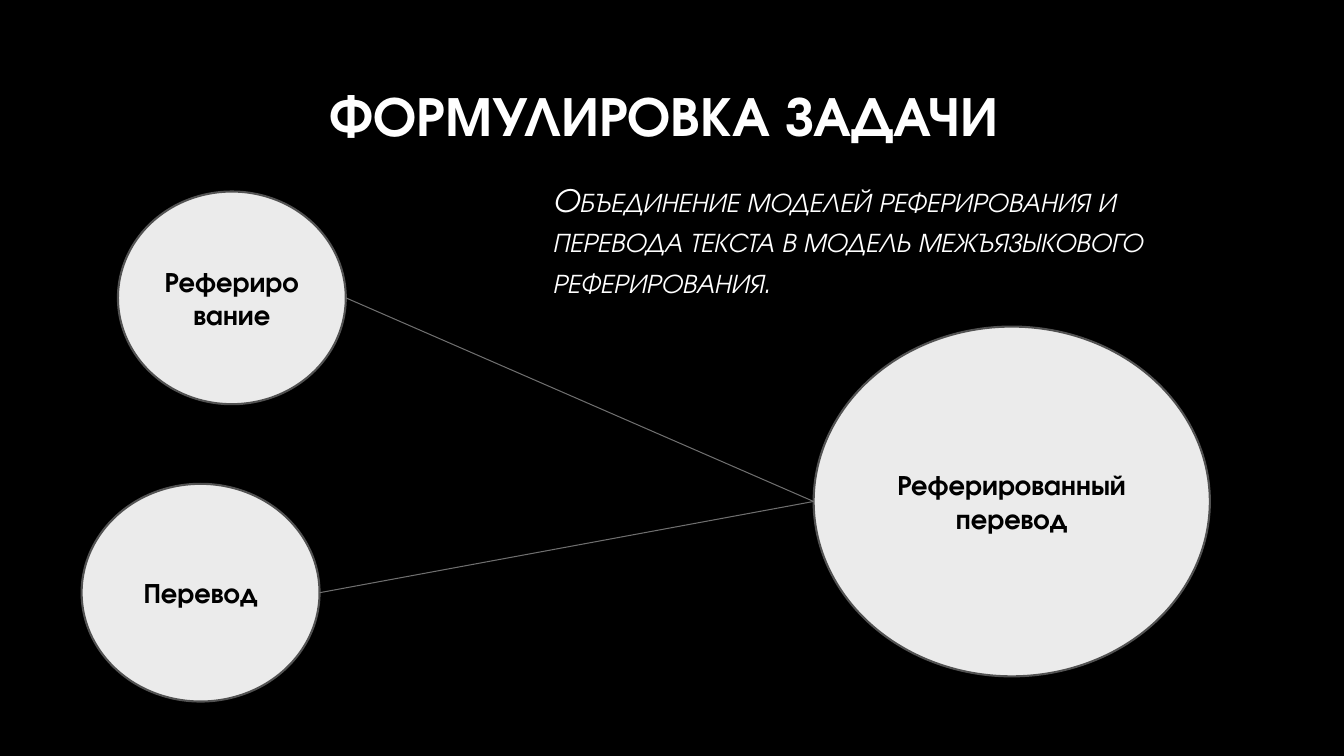
from lxml.etree import SubElement
from pptx import Presentation
from pptx.dml.color import RGBColor
from pptx.enum.shapes import MSO_CONNECTOR, MSO_SHAPE
from pptx.enum.text import MSO_ANCHOR, PP_ALIGN
from pptx.oxml.ns import qn
from pptx.util import Inches, Pt

BLACK = RGBColor(0x00, 0x00, 0x00)
WHITE = RGBColor(0xFF, 0xFF, 0xFF)
PALE = RGBColor(0xEB, 0xEB, 0xEB)
EDGE = RGBColor(0x52, 0x52, 0x52)
GRAY = RGBColor(0x6F, 0x6F, 0x6F)


class Board:
    face = "TeX Gyre Adventor"
    title = {"size": Pt(40), "bold": True}
    body = {"size": Pt(24), "italic": True}
    label = {"size": Pt(20), "bold": True}

    def __init__(self, slide):
        self.slide = slide
        fill = slide.background.fill
        fill.solid()
        fill.fore_color.rgb = BLACK

    def letter(self, frame, lines, style, color, align):
        frame.word_wrap = True
        frame.vertical_anchor = MSO_ANCHOR.MIDDLE
        for spot, line in enumerate(lines):
            para = frame.add_paragraph() if spot else frame.paragraphs[0]
            para.alignment = align
            run = para.add_run()
            run.text = line
            run.font.name = self.face
            run.font.color.rgb = color
            for key, value in style.items():
                setattr(run.font, key, value)

    def text(self, box, line, style, align):
        frame = self.slide.shapes.add_textbox(*map(Inches, box)).text_frame
        self.letter(frame, [line], style, WHITE, align)
        return frame.paragraphs[0]

    def oval(self, box, *lines):
        shape = self.slide.shapes.add_shape(MSO_SHAPE.OVAL, *map(Inches, box))
        shape.shadow.inherit = False
        shape.fill.solid()
        shape.fill.fore_color.rgb = PALE
        shape.line.color.rgb = EDGE
        shape.line.width = Pt(1.5)
        self.letter(shape.text_frame, lines, self.label, BLACK, PP_ALIGN.CENTER)
        return shape

    def link(self, start, end):
        line = self.slide.shapes.add_connector(
            MSO_CONNECTOR.STRAIGHT,
            start.left + start.width, start.top + start.height // 2,
            end.left, end.top + end.height // 2)
        line.line.color.rgb = GRAY
        line.line.width = Pt(0.75)
        SubElement(line._element.spPr, qn("a:effectLst"))


def main():
    deck = Presentation()
    deck.slide_width = Inches(13.33)
    deck.slide_height = Inches(7.5)
    board = Board(deck.slides.add_slide(deck.slide_layouts[6]))

    board.text((1.17, 0.09, 10.83, 2.08), "ФОРМУЛИРОВКА ЗАДАЧИ",
               board.title, PP_ALIGN.CENTER)
    goal = board.text(
        (5.38, 1.51, 7.06, 1.73),
        "Объединение моделей реферирования и перевода текста "
        "в модель межъязыкового реферирования.",
        board.body, PP_ALIGN.LEFT)
    goal.space_before = Pt(4.8)
    goal.space_after = Pt(6)
    goal.runs[0].font._element.set("cap", "small")

    parts = [board.oval((1.17, 1.9, 2.26, 2.11), "Реферирование"),
             board.oval((0.81, 4.8, 2.36, 2.16), "Перевод")]
    whole = board.oval((8.07, 3.24, 3.93, 3.47), "Реферированный", "перевод")
    for part in parts:
        board.link(part, whole)

    deck.save("out.pptx")


if __name__ == "__main__":
    main()
